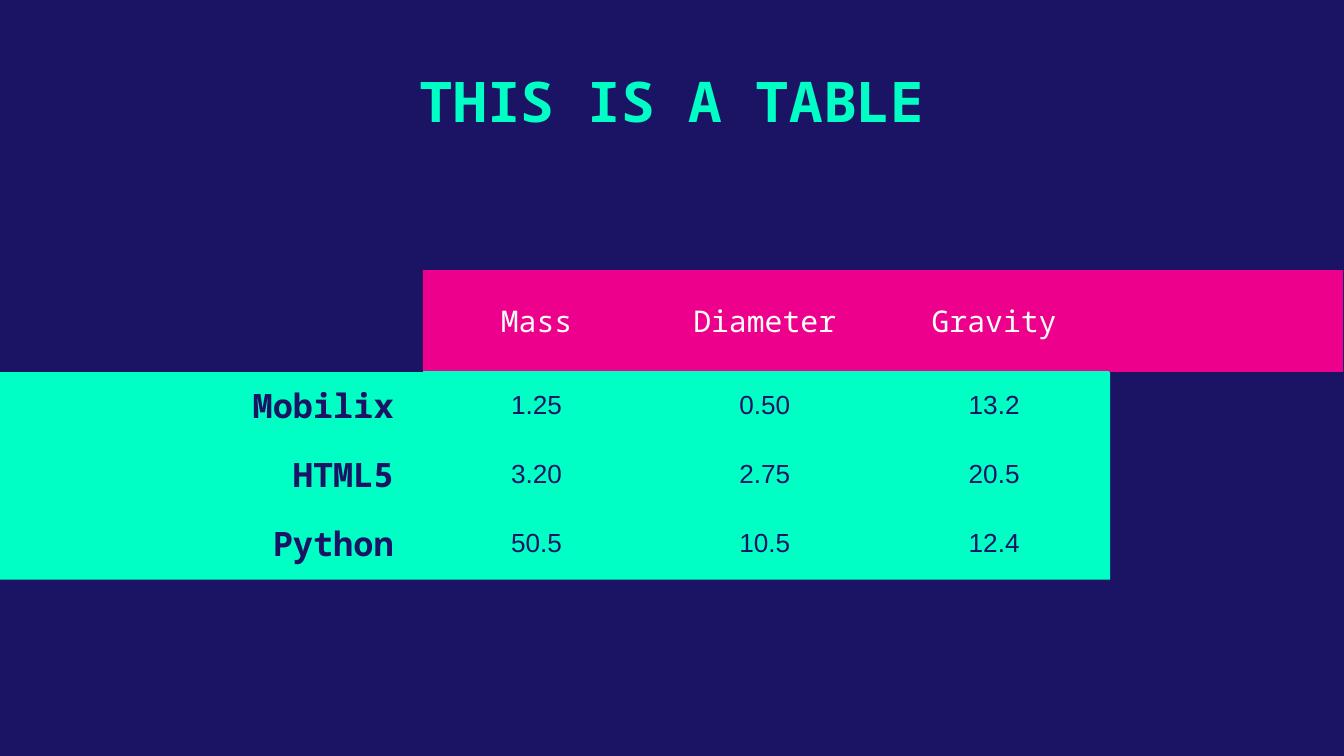
from pptx import Presentation
from pptx.dml.color import RGBColor
from pptx.enum.shapes import MSO_SHAPE
from pptx.enum.text import MSO_ANCHOR, PP_ALIGN
from pptx.util import Pt

RECT = MSO_SHAPE.RECTANGLE
MIDDLE = MSO_ANCHOR.MIDDLE
CENTER, RIGHT = PP_ALIGN.CENTER, PP_ALIGN.RIGHT

NAVY = RGBColor(0x1B, 0x14, 0x64)
MINT = RGBColor(0x00, 0xFF, 0xC5)
PINK = RGBColor(0xEC, 0x00, 0x8C)
WHITE = RGBColor(0xFF, 0xFF, 0xFF)
MONO, SANS = "Noto Sans Mono", "Arial"
NO_STYLE = "{2D5ABB26-0587-4C30-8999-92F81FD0307C}"

# Content
TITLE = "THIS IS A TABLE"
ROWS = [
    ("", "Mass", "Diameter", "Gravity"),
    ("Mobilix", "1.25", "0.50", "13.2"),
    ("HTML5", "3.20", "2.75", "20.5"),
    ("Python", "50.5", "10.5", "12.4"),
]

# Layout in points
SLIDE_W, SLIDE_H = 720, 405
TABLE_X, TABLE_Y = 101.5, 145.2
COL_WIDTHS = [125.2, 121.6, 122.9, 122.9]
ROW_HEIGHTS = [53.6, 36.9, 36.9, 36.9]
BANDS = [
    (0, 199.3, 594.7, 111.2, MINT),
    (226.6, 144.7, 492.9, 54.6, PINK),
]


def write(tf, text, size=14, font=MONO, color=NAVY, bold=False, align=CENTER):
    p = tf.paragraphs[0]
    p.alignment = align
    r = p.add_run()
    r.text = text
    r.font.size, r.font.name, r.font.bold = Pt(size), font, bold
    r.font.color.rgb = color


prs = Presentation()
prs.slide_width, prs.slide_height = Pt(SLIDE_W), Pt(SLIDE_H)
s = prs.slides.add_slide(prs.slide_layouts[6])
s.background.fill.solid()
s.background.fill.fore_color.rgb = NAVY

# Colour bands behind the table
for x, y, w, h, color in BANDS:
    sp = s.shapes.add_shape(RECT, Pt(x), Pt(y), Pt(w), Pt(h))
    sp.shadow.inherit = False
    sp.fill.solid()
    sp.fill.fore_color.rgb = color
    sp.line.fill.background()

# Title
tf = s.shapes.add_textbox(Pt(100.8), Pt(27.4), Pt(518.4), Pt(52.6)).text_frame
tf.word_wrap = True
tf.vertical_anchor = MIDDLE
tf.margin_left = tf.margin_right = tf.margin_top = tf.margin_bottom = Pt(7.2)
write(tf, TITLE, size=30, color=MINT, bold=True)

# Table without style or grid lines
frame = s.shapes.add_table(len(ROWS), len(COL_WIDTHS), Pt(TABLE_X), Pt(TABLE_Y),
                           Pt(sum(COL_WIDTHS)), Pt(sum(ROW_HEIGHTS)))
table = frame.table
table.first_row = table.horz_banding = False
table._tbl.tblPr[0].text = NO_STYLE
for column, width in zip(table.columns, COL_WIDTHS):
    column.width = Pt(width)
for row, height in zip(table.rows, ROW_HEIGHTS):
    row.height = Pt(height)

for i, values in enumerate(ROWS):
    for j, text in enumerate(values):
        cell = table.cell(i, j)
        cell.vertical_anchor = MIDDLE
        cell.margin_left = cell.margin_right = Pt(7.2)
        cell.margin_top = cell.margin_bottom = Pt(5)
        if j == 0:
            cell.fill.background()
            cell.margin_right = Pt(15.8)
            style = dict(size=18, bold=True, align=RIGHT)
        else:
            cell.fill.solid()
            cell.fill.fore_color.rgb = PINK if i == 0 else MINT
            style = dict(size=16, color=WHITE) if i == 0 else dict(font=SANS)
        if text:
            write(cell.text_frame, text, **style)

prs.save("out.pptx")
